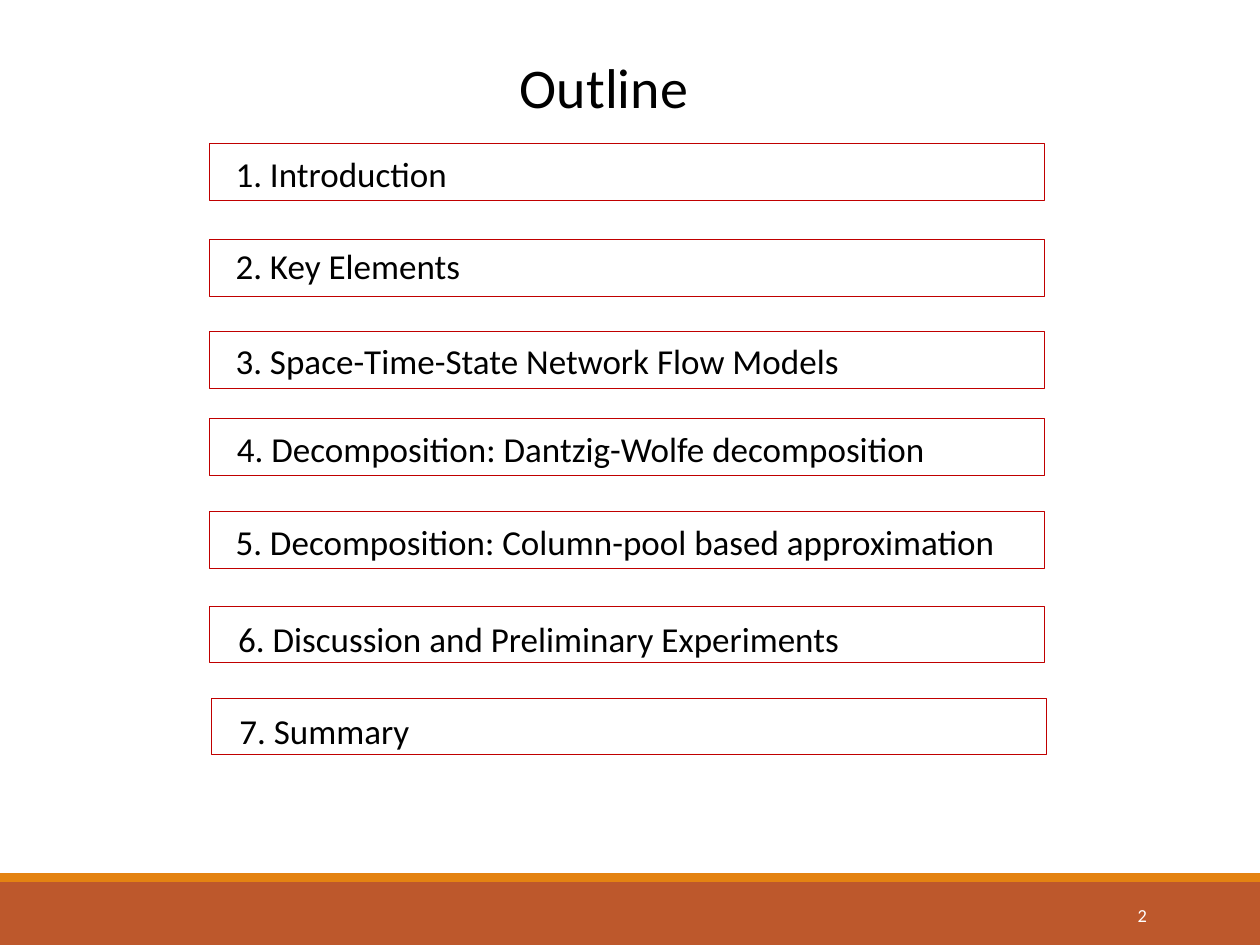
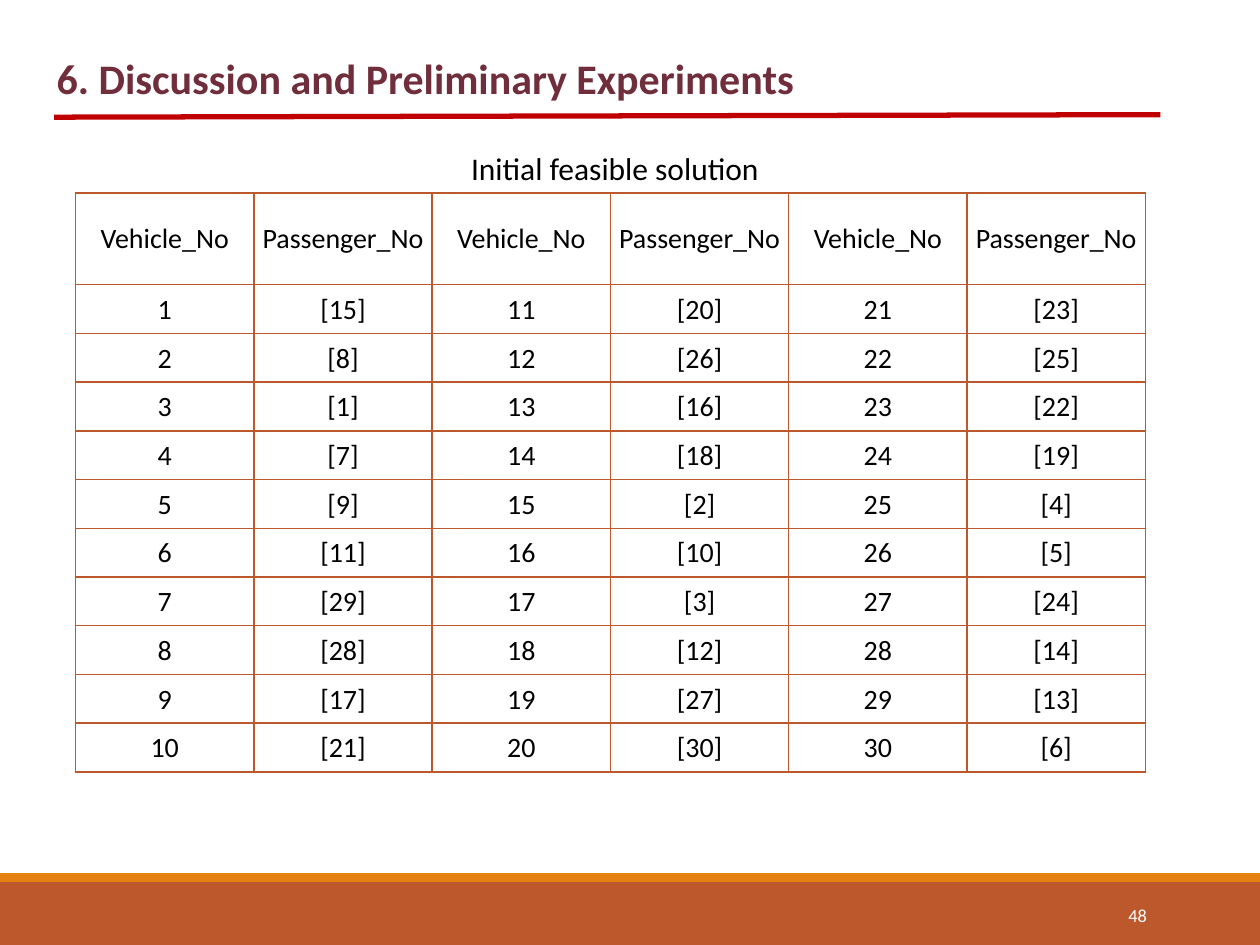
from lxml.etree import SubElement
from pptx import Presentation
from pptx.dml.color import RGBColor
from pptx.enum.shapes import MSO_CONNECTOR as Connector, MSO_SHAPE as Shape
from pptx.enum.text import MSO_ANCHOR as Anchor, MSO_AUTO_SIZE as AutoSize, PP_ALIGN as Align
from pptx.oxml.ns import qn
from pptx.util import Inches, Pt

COLORS = {
    "band": "BD582C",
    "stripe": "E48312",
    "rule": "C00000",
    "heading": "702E3C",
    "text": "000000",
    "white": "FFFFFF",
}
FONT = "Calibri"
COLUMNS, ROWS = 100, 75
TITLE_ONLY = 5


class Deck:
    """Holds the style and the current slide; lengths are grid columns and rows."""

    def __init__(self):
        self.presentation = Presentation()
        self.presentation.slide_width = Inches(10)
        self.presentation.slide_height = Inches(7.5)
        self.column = self.presentation.slide_width / COLUMNS
        self.row = self.presentation.slide_height / ROWS
        self.slide = None

    def place(self, left, top, width, height):
        return (int(left * self.column), int(top * self.row),
                int(width * self.column), int(height * self.row))

    def color(self, name):
        return RGBColor.from_string(COLORS[name])

    def format(self, paragraph, size, color="text", align=Align.LEFT, bold=False):
        paragraph.alignment = align
        font = paragraph.font
        font.name, font.size, font.bold = FONT, Pt(size), bold
        font.color.rgb = self.color(color)

    def new_slide(self, number):
        layout = self.presentation.slide_layouts[TITLE_ONLY]
        self.slide = self.presentation.slides.add_slide(layout)
        # Footer bands and page number
        self.rectangle(0, 70, COLUMNS, 5, fill="band")
        self.rectangle(0, 69.3, COLUMNS, 0.7, fill="stripe")
        self.text(str(number), 81.2, 70.6, 10.8, 4, 10.5, color="white",
                  align=Align.RIGHT, anchor=Anchor.MIDDLE)

    def title(self, text, left, top, width, height, size, **style):
        title = self.slide.shapes.title
        title.left, title.top, title.width, title.height = self.place(left, top, width, height)
        self.fill_frame(title.text_frame, text, size, **style)

    def text(self, text, left, top, width, height, size, **style):
        box = self.slide.shapes.add_textbox(*self.place(left, top, width, height))
        self.fill_frame(box.text_frame, text, size, **style)

    def fill_frame(self, frame, text, size, anchor=Anchor.TOP, indent=None, **style):
        frame.word_wrap = True
        frame.auto_size = AutoSize.NONE
        frame.vertical_anchor = anchor
        if indent is not None:
            frame.margin_left = int(indent * self.column)
            frame.margin_top = frame.margin_right = frame.margin_bottom = 0
        frame.text = text
        self.format(frame.paragraphs[0], size, **style)

    def rectangle(self, left, top, width, height, fill=None, line=None):
        shape = self.slide.shapes.add_shape(Shape.RECTANGLE, *self.place(left, top, width, height))
        shape.shadow.inherit = False
        if fill:
            shape.fill.solid()
            shape.fill.fore_color.rgb = self.color(fill)
        else:
            shape.fill.background()
        if line:
            shape.line.color.rgb = self.color(line)
            shape.line.width = Pt(0.5)
        else:
            shape.line.fill.background()

    def rule(self, start, end, color, weight):
        begin_x, begin_y, end_x, end_y = self.place(*start, *end)
        line = self.slide.shapes.add_connector(Connector.STRAIGHT, begin_x, begin_y, end_x, end_y)
        line.line.color.rgb = self.color(color)
        line.line.width = Pt(weight)
        SubElement(line._element.spPr, qn("a:effectLst"))

    def table(self, cells, left, top, width, height, header_height, size):
        shape = self.slide.shapes.add_table(len(cells), len(cells[0]),
                                            *self.place(left, top, width, height))
        table = shape.table
        table.first_row = table.horz_banding = False
        body_height = (height - header_height) / (len(cells) - 1)
        for index, (row, values) in enumerate(zip(table.rows, cells)):
            row.height = int((body_height if index else header_height) * self.row)
            for cell, value in zip(row.cells, values):
                self.fill_cell(cell, value, size)

    def fill_cell(self, cell, value, size):
        cell.text = value
        cell.vertical_anchor = Anchor.MIDDLE
        cell.margin_left = cell.margin_right = cell.margin_top = Inches(0.01)
        cell.margin_bottom = 0
        self.format(cell.text_frame.paragraphs[0], size, align=Align.CENTER)
        # Borders come before the fill in the cell properties
        properties = cell._tc.get_or_add_tcPr()
        for side in ("lnL", "lnR", "lnT", "lnB"):
            border = SubElement(properties, qn(f"a:{side}"), w=str(Pt(1)))
            fill = SubElement(border, qn("a:solidFill"))
            SubElement(fill, qn("a:srgbClr"), val=COLORS["band"])
        cell.fill.background()


# Heading, frame left and top, text left and top
OUTLINE = [
    ("1. Introduction", 16.6, 11.4, 16.6, 12.1),
    ("2. Key Elements", 16.6, 19, 16.6, 19.4),
    ("3. Space-Time-State Network Flow Models", 16.6, 26.3, 16.6, 26.9),
    ("4. Decomposition: Dantzig-Wolfe decomposition", 16.6, 33.2, 16.7, 33.9),
    ("5. Decomposition: Column-pool based approximation", 16.6, 40.6, 16.6, 41.3),
    ("6. Discussion and Preliminary Experiments", 16.6, 48.1, 16.8, 49),
    ("7. Summary", 16.8, 55.4, 16.9, 56.3),
]

# Passenger served by vehicles 1 to 30
PASSENGERS = [
    15, 8, 1, 7, 9, 11, 29, 28, 17, 21,
    20, 26, 16, 18, 2, 10, 3, 12, 27, 30,
    23, 25, 22, 19, 4, 5, 24, 14, 13, 6,
]
BLOCKS, VEHICLES_PER_BLOCK = 3, 10


def outline_slide(deck):
    deck.new_slide(2)
    deck.title("Outline", 35.9, 3.7, 24.1, 6.4, 32, align=Align.CENTER)
    for heading, frame_left, frame_top, text_left, text_top in OUTLINE:
        deck.rectangle(frame_left, frame_top, 66.3, 4.5, line="rule")
        deck.text(heading, text_left, text_top, 64.3, 3.4, 20, anchor=Anchor.MIDDLE, indent=2.1)


def solution_slide(deck):
    deck.new_slide(48)
    deck.title(OUTLINE[5][0], 3.5, 3.7, 86.5, 5, 24, color="heading", bold=True)
    deck.rule((4.3, 9.3), (92.1, 9.1), "rule", 3)
    deck.text("Initial feasible solution", 36.4, 11.3, 25.2, 4, 18)

    # Vehicles run down each pair of columns
    cells = [["Vehicle_No", "Passenger_No"] * BLOCKS]
    for first in range(VEHICLES_PER_BLOCK):
        row = []
        for vehicle in range(first, len(PASSENGERS), VEHICLES_PER_BLOCK):
            row += [str(vehicle + 1), f"[{PASSENGERS[vehicle]}]"]
        cells.append(row)
    deck.table(cells, 6, 15.3, 84.9, 46, header_height=7.3, size=16)


def main():
    deck = Deck()
    outline_slide(deck)
    solution_slide(deck)
    deck.presentation.save("out.pptx")


if __name__ == "__main__":
    main()
